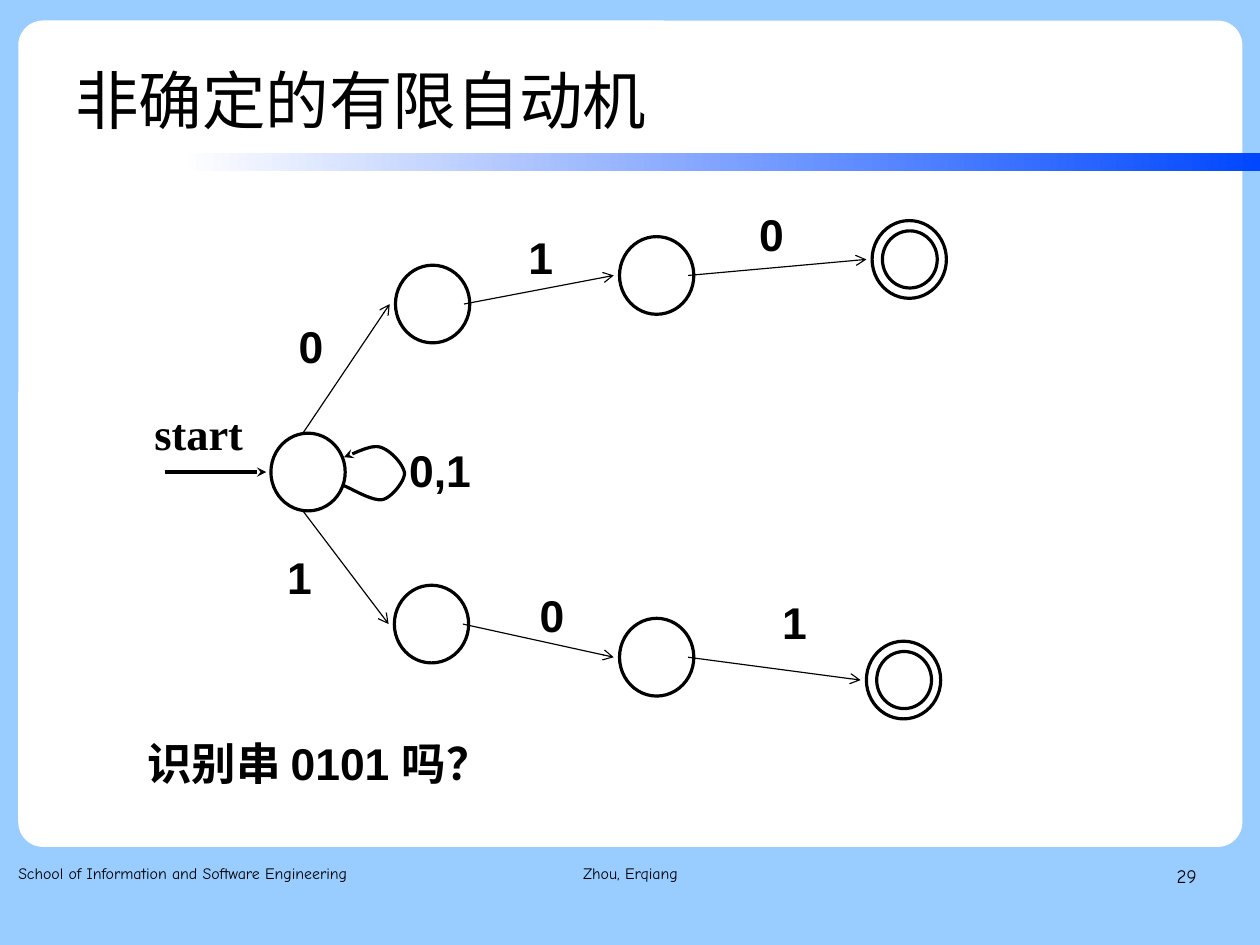
from dataclasses import dataclass
from lxml import etree
from pptx import Presentation, util as u
from pptx.dml.color import RGBColor
from pptx.enum import shapes as sh, text as tx
from pptx.oxml.ns import qn


@dataclass(frozen=True)
class Theme:
    """Colours, fonts, type sizes and line widths."""
    sky: str = "99CCFF"
    paper: str = "FFFFFF"
    blue: str = "0047FF"
    ink: str = "000000"
    sans: str = "Arial"
    serif: str = "Times New Roman"
    comic: str = "Comic Neue"
    title: int = 40
    label: int = 28
    page: int = 12
    foot: int = 10
    bold: float = 2.01
    thin: float = 0.74


T = Theme()
CELL = u.Inches(0.1)
SIZE = u.Cm(28), u.Cm(21)
COLS = SIZE[0] / CELL
WIDE, HIGH = 6.5, 6.8
ALIGN = tx.PP_ALIGN


def grid(*nums):
    """Turn grid cells into lengths."""
    return [u.Emu(round(n * CELL)) for n in nums]


def inset(box, x, y, w, h):
    """Return an area placed relative to a box."""
    return box[0] + x, box[1] + y, w, h


def hue(code):
    """Return a colour from its hex code."""
    return RGBColor.from_string(code)


def form(slide, kind, area, fill=None):
    """Add a preset shape, filled or else outlined."""
    item = slide.shapes.add_shape(kind, *grid(*area))
    item.shadow.inherit = False
    if fill:
        item.fill.solid()
        item.fill.fore_color.rgb = hue(fill)
        item.line.fill.background()
    else:
        item.fill.background()
        stroke(item, T.bold)
    return item


def stroke(item, width, head=None):
    """Set a dark line with an optional arrowhead at its end."""
    item.line.color.rgb = hue(T.ink)
    item.line.width = u.Pt(width)
    if head:
        etree.SubElement(item.line._get_or_add_ln(), qn("a:tailEnd"), type=head)


def arrow(slide, start, end, width=T.thin, head="arrow"):
    """Add a straight arrow between two points."""
    item = slide.shapes.add_connector(
        sh.MSO_CONNECTOR.STRAIGHT, *grid(*start, *end))
    stroke(item, width, head)
    etree.SubElement(item._element.spPr, qn("a:effectLst"))


def write(slide, area, words, size, font, align=ALIGN.LEFT, bold=False,
          pad=(0.6, 0.3), gap=0.93, anchor=tx.MSO_ANCHOR.TOP):
    """Add a text box holding one run."""
    frame = slide.shapes.add_textbox(*grid(*area)).text_frame
    frame.word_wrap = True
    frame.vertical_anchor = anchor
    frame.margin_left = frame.margin_right = grid(pad[0])[0]
    frame.margin_top = frame.margin_bottom = grid(pad[1])[0]
    para = frame.paragraphs[0]
    para.alignment = align
    para.line_spacing = gap
    run = para.add_run()
    run.text = words
    run.font.size = u.Pt(size)
    run.font.name = font
    run.font.bold = bold
    run.font.color.rgb = hue(T.ink)


def label(slide, box, spot, words):
    """Add the input symbol of a move."""
    write(slide, inset(box, *spot, 10.8, 5.8), words, T.label, T.sans,
          ALIGN.CENTER, True)


def state(slide, box, spot, final=False):
    """Add a state, with an inner ring when it is final."""
    oval = sh.MSO_SHAPE.OVAL
    area = inset(box, *spot, WIDE, HIGH)
    form(slide, oval, area)
    if final:
        form(slide, oval, inset(area, 0.9, 0.9, WIDE - 1.7, HIGH - 1.8))


def curve(start, bends, steps=16):
    """Return points along a chain of cubic curves."""
    spots = [start]
    for one, two, end in bends:
        for n in range(1, steps + 1):
            t = n / steps
            s = 1 - t
            spots.append(tuple(
                s**3 * a + 3 * s * s * t * b + 3 * s * t * t * c + t**3 * d
                for a, b, c, d in zip(start, one, two, end)))
        start = end
    return spots


def loop(slide, box):
    """Add the move from the start state to itself."""
    bends = [((18.7, 24.7), (20.6, 25.9), (21.5, 25.7)),
             ((22.3, 25.5), (23.4, 24.1), (23.4, 23.4)),
             ((23.3, 22.6), (22.1, 21.3), (21.2, 21.1)),
             ((20.3, 20.9), (18.8, 21.8), (18.1, 22))]
    spots = [grid(box[0] + x, box[1] + y)
             for x, y in curve((18.1, 24.5), bends)]
    pen = slide.shapes.build_freeform(*spots[0])
    pen.add_line_segments(spots[1:], close=False)
    item = pen.convert_to_shape()
    item.shadow.inherit = False
    item.fill.background()
    stroke(item, T.bold, "stealth")
    label(slide, box, (21.1, 20.9), "0,1")


def branch(slide, box, root, exit, spots, tags):
    """Add a chain of states leaving the start state."""
    for spot in spots:
        state(slide, box, spot, spot == spots[-1])
    left, top, *_ = box
    tails = [(root[0] + 2.8, root[1] + exit)]
    tails += [(x + 6, y + HIGH / 2) for x, y in spots[:-1]]
    for (a, b), (x, y) in zip(tails, spots):
        arrow(slide, (left + a, top + b), (left + x - 0.5, top + y + HIGH / 2))
    for spot, words in tags:
        label(slide, box, spot, words)


def machine(slide, box):
    """Add the automaton and the question below it."""
    root = 11.7, 19.9
    state(slide, box, root)
    write(slide, inset(box, 0.9, 17.6, 10.5, 5.2), "start", T.label, T.serif,
          ALIGN.JUSTIFY, True)
    row = box[1] + root[1] + HIGH / 2
    arrow(slide, (box[0] + 2.4, row), (box[0] + 11.3, row), T.bold, "stealth")
    loop(slide, box)
    branch(slide, box, root, 0, [(22.6, 5.2), (42.2, 2.7), (64.3, 1.3)],
           [((9.8, 10), "0"), ((29.9, 2.2), "1"), ((50.1, 0.2), "0")])
    branch(slide, box, root, HIGH, [(22.5, 33.2), (42.2, 36.1), (63.8, 38.1)],
           [((8.8, 30.2), "1"), ((30.9, 33.6), "0"), ((52.1, 34.2), "1")])
    write(slide, inset(box, 0.3, 46.5, 34.3, 6.4), "识别串 0101 吗？",
          T.label, T.sans, ALIGN.JUSTIFY, True)


def panel(slide, box):
    """Add the white card, the fading bar and the title."""
    card = form(slide, sh.MSO_SHAPE.ROUNDED_RECTANGLE, box, T.paper)
    card.adjustments[0] = 0.03
    bar = form(slide, sh.MSO_SHAPE.RECTANGLE,
               inset(box, 14.1, 11.6, COLS - box[0] - 14.1, 1.6), T.blue)
    bar.fill.gradient()
    bar.fill.gradient_angle = 0
    for stop, code in zip(bar.fill.gradient_stops, (T.paper, T.blue)):
        stop.color.rgb = hue(code)
    write(slide, inset(box, 3.9, 1.5, 85.8, 10.1), "非确定的有限自动机",
          T.title, T.sans, pad=(1.1, 0.6), gap=1.1,
          anchor=tx.MSO_ANCHOR.MIDDLE)


def footer(slide, box):
    """Add the school, the teacher and the page number."""
    parts = [(0, 33.8, "School of Information and Software Engineering",
              T.foot, ALIGN.LEFT),
             (36.1, 34.9, "Zhou, Erqiang", T.foot, ALIGN.CENTER),
             (77.4, 25.7, "29", T.page, ALIGN.RIGHT)]
    for x, w, words, size, align in parts:
        write(slide, inset(box, x, 0, w, box[3]), words, size, T.comic,
              align, pad=(0, 0), gap=1.16)


deck = Presentation()
deck.slide_width, deck.slide_height = SIZE
page = deck.slides.add_slide(deck.slide_layouts[6])
page.background.fill.solid()
page.background.fill.fore_color.rgb = hue(T.sky)
panel(page, (1.6, 1.8, 107.1, 72.3))
machine(page, (12, 18, 72, 53))
footer(page, (1.6, 75.3, 103.1, 5.7))
deck.save("out.pptx")
